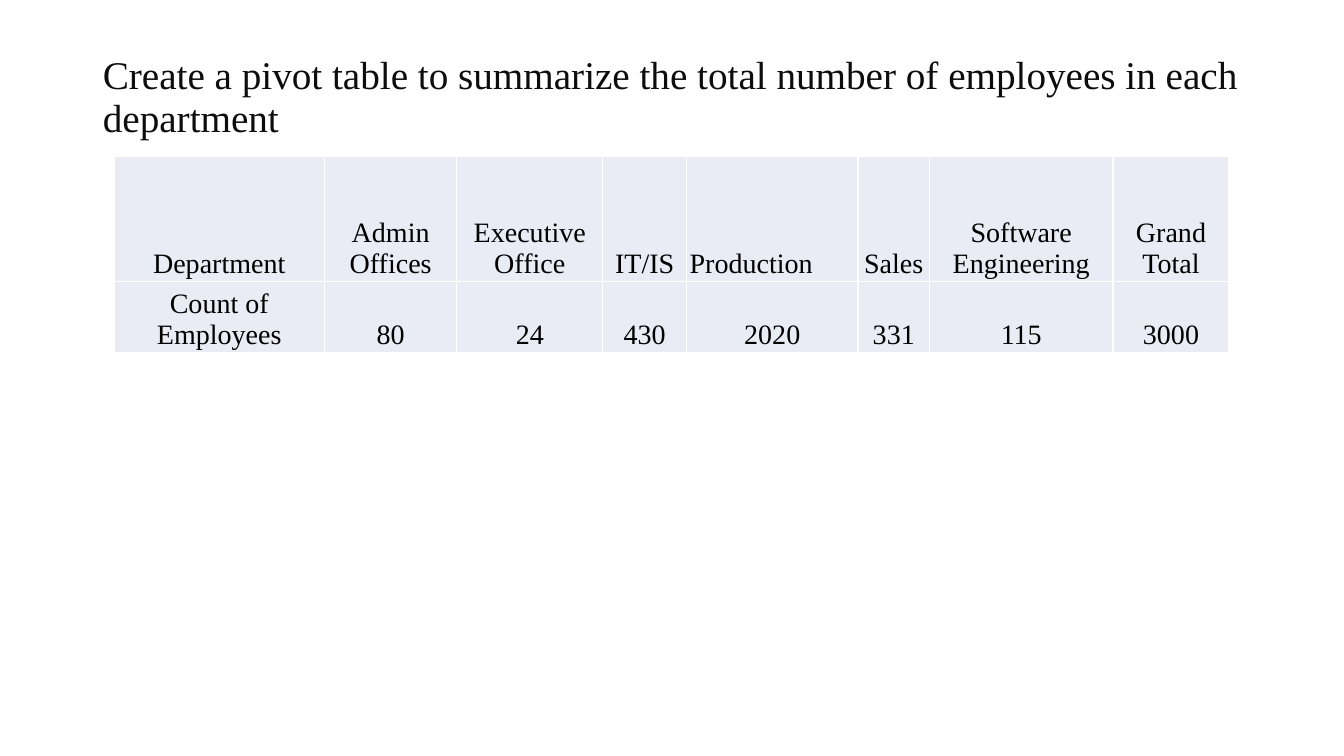
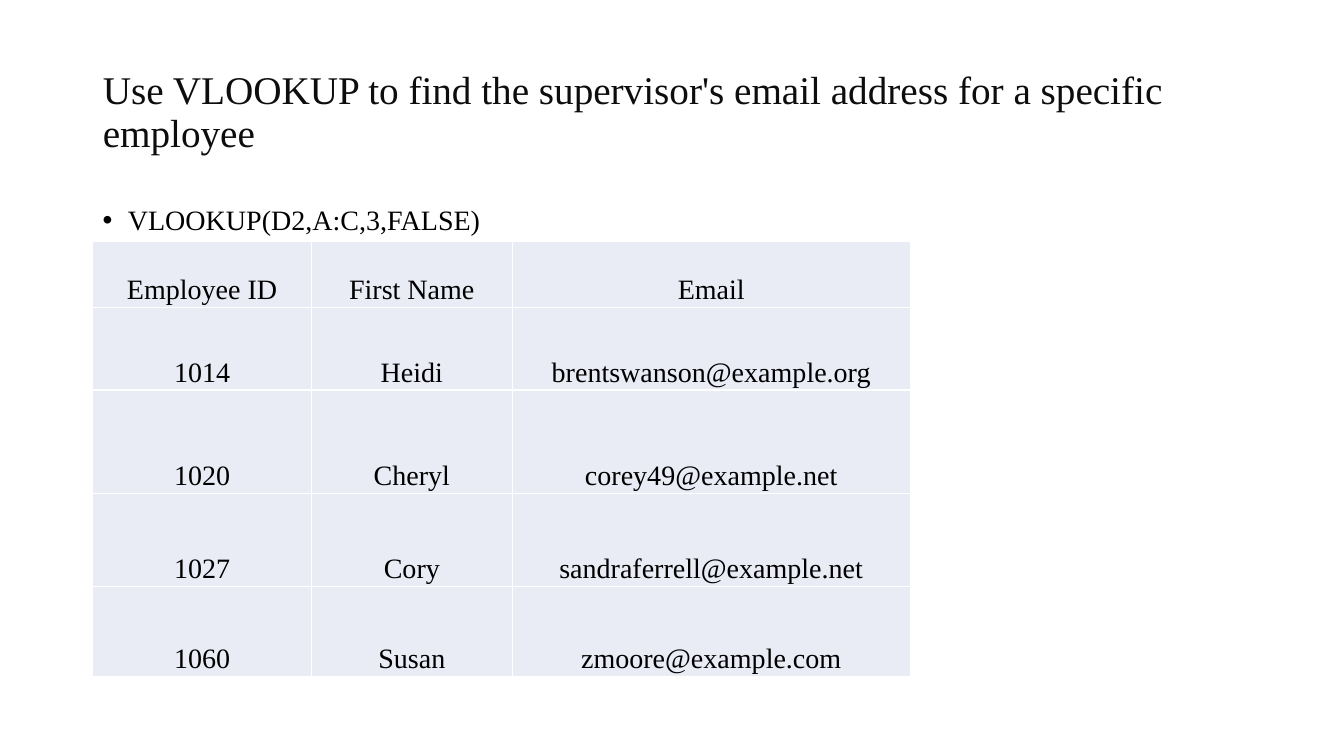
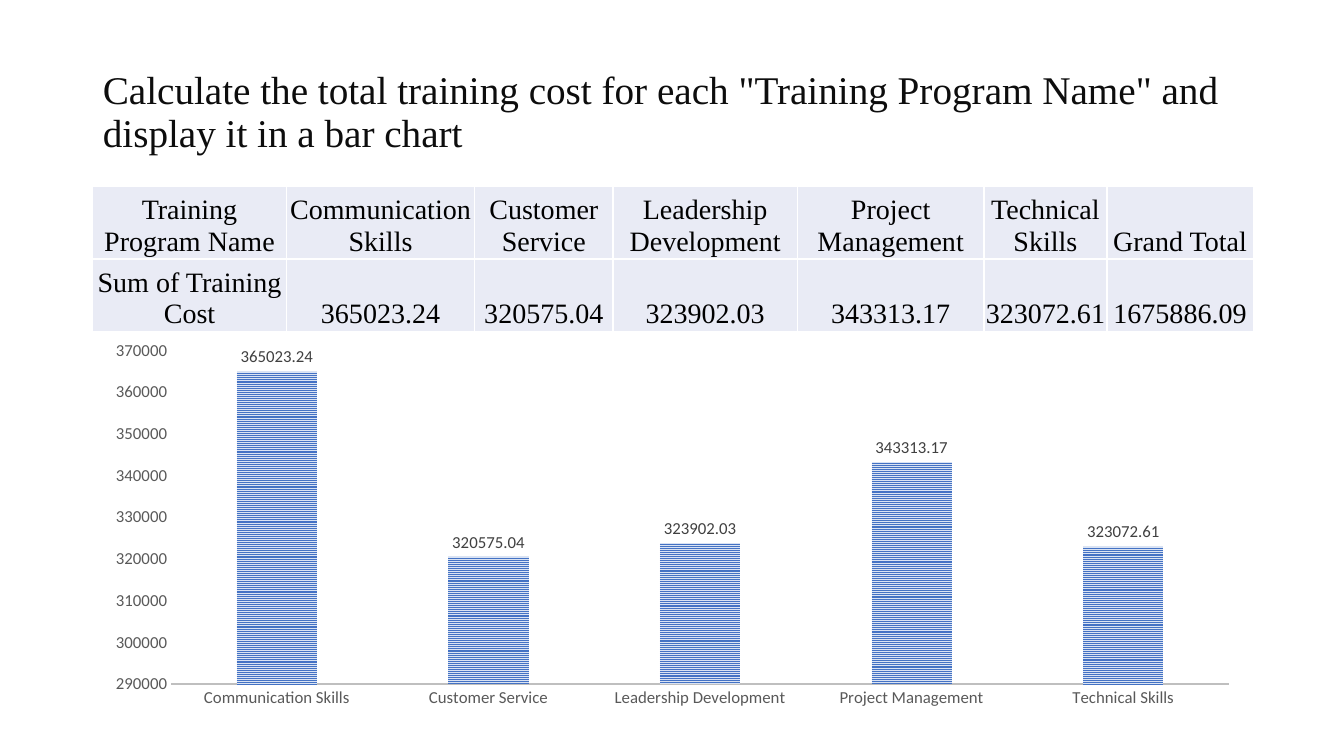
import dataclasses

import lxml.etree
import pptx
import pptx.chart.data
import pptx.dml.color
import pptx.enum.chart
import pptx.enum.dml
import pptx.enum.text
import pptx.oxml.ns
import pptx.util

Inches = pptx.util.Inches
Pt = pptx.util.Pt
ALIGN = pptx.enum.text.PP_ALIGN
ANCHOR = pptx.enum.text.MSO_ANCHOR
qn = pptx.oxml.ns.qn


@dataclasses.dataclass(frozen=True)
class Theme:
    """Colours, fonts, type sizes and margins that the slides share."""

    serif: str = "Times New Roman"
    sans: str = "Calibri"
    title_size: int = 28
    body_size: int = 20
    chart_size: int = 12
    title_ink: str = "0D0D0D"
    ink: str = "000000"
    cell_fill: str = "E9EBF5"
    cell_border: str = "FFFFFF"
    axis_ink: str = "595959"
    axis_line: str = "BFBFBF"
    label_ink: str = "404040"
    bar_stripe: str = "4472C4"
    bar_ground: str = "DAE3F3"
    left: float = 0.92
    top: float = 0.4
    width: float = 11.5


THEME = Theme()


def rgb(value):
    """Turn a hex string into a colour."""
    return pptx.dml.color.RGBColor.from_string(value)


def style_font(font, face, size, colour):
    """Set face, size and colour of a font."""
    font.name = face
    font.size = Pt(size)
    font.color.rgb = rgb(colour)


def add_titled_slide(deck, title, height=1.45):
    """Add a title-only slide and format its title."""
    slide = deck.slides.add_slide(deck.slide_layouts[5])
    heading = slide.shapes.title
    heading.left, heading.top = Inches(THEME.left), Inches(THEME.top)
    heading.width, heading.height = Inches(THEME.width), Inches(height)
    frame = heading.text_frame
    frame.text = title
    frame.word_wrap = True
    frame.auto_size = pptx.enum.text.MSO_AUTO_SIZE.NONE
    frame.vertical_anchor = ANCHOR.MIDDLE
    paragraph = frame.paragraphs[0]
    paragraph.alignment = ALIGN.LEFT
    paragraph.line_spacing = 0.9
    style_font(paragraph.font, THEME.serif, THEME.title_size, THEME.title_ink)
    return slide


def add_bullet(slide, box, text):
    """Place one bulleted line in a box."""
    frame = slide.shapes.add_textbox(*map(Inches, box)).text_frame
    frame.word_wrap = True
    frame.text = text
    paragraph = frame.paragraphs[0]
    properties = paragraph._p.get_or_add_pPr()
    properties.set("marL", str(Inches(0.25)))
    properties.set("indent", str(-Inches(0.25)))
    lxml.etree.SubElement(properties, qn("a:buFont"), typeface="Arial")
    lxml.etree.SubElement(properties, qn("a:buChar"), char="•")
    paragraph.line_spacing = 0.9
    style_font(paragraph.font, THEME.serif, THEME.body_size, THEME.ink)


def border_cell(cell):
    """Draw a thin line on all four sides of a cell."""
    properties = cell._tc.get_or_add_tcPr()
    for place, side in enumerate(("a:lnL", "a:lnR", "a:lnT", "a:lnB")):
        line = lxml.etree.Element(qn(side), w=str(Pt(1)))
        fill = lxml.etree.SubElement(line, qn("a:solidFill"))
        lxml.etree.SubElement(fill, qn("a:srgbClr"), val=THEME.cell_border)
        properties.insert(place, line)


def fill_cell(cell, text):
    """Write and format one table cell."""
    cell.text = text
    cell.vertical_anchor = ANCHOR.BOTTOM
    cell.margin_left = cell.margin_right = cell.margin_top = Inches(0.01)
    cell.margin_bottom = Inches(0.02)
    cell.fill.solid()
    cell.fill.fore_color.rgb = rgb(THEME.cell_fill)
    border_cell(cell)
    paragraph = cell.text_frame.paragraphs[0]
    paragraph.alignment = ALIGN.CENTER
    style_font(paragraph.font, THEME.serif, THEME.body_size, THEME.ink)


def add_grid(slide, left, top, widths, heights, rows):
    """Place a table with the given column widths and row heights."""
    box = map(Inches, (left, top, sum(widths), sum(heights)))
    table = slide.shapes.add_table(len(heights), len(widths), *box).table
    table.first_row = table.horz_banding = False
    for column, width in zip(table.columns, widths):
        column.width = Inches(width)
    for row, height, texts in zip(table.rows, heights, rows):
        row.height = Inches(height)
        for cell, text in zip(row.cells, texts):
            fill_cell(cell, text)
    return table


def style_axis(axis):
    """Remove ticks and gridlines and set the label type."""
    axis.has_major_gridlines = False
    axis.major_tick_mark = pptx.enum.chart.XL_TICK_MARK.NONE
    axis.minor_tick_mark = pptx.enum.chart.XL_TICK_MARK.NONE
    style_font(axis.tick_labels.font, THEME.sans, THEME.chart_size, THEME.axis_ink)


def add_cost_chart(slide, box, programs, costs):
    """Place the column chart of training costs in a box."""
    data = pptx.chart.data.CategoryChartData()
    data.categories = programs
    data.add_series("Series 1", costs)
    kind = pptx.enum.chart.XL_CHART_TYPE.COLUMN_CLUSTERED
    chart = slide.shapes.add_chart(kind, *map(Inches, box), data).chart
    chart.has_title = chart.has_legend = False
    style_font(chart.font, THEME.sans, 10, THEME.ink)

    style_axis(chart.category_axis)
    baseline = chart.category_axis.format.line
    baseline.color.rgb = rgb(THEME.axis_line)
    baseline.width = Pt(1.5)
    scale = chart.value_axis
    style_axis(scale)
    scale.format.line.fill.background()
    scale.minimum_scale, scale.maximum_scale = 290000, 370000
    scale.major_unit = 10000

    plot = chart.plots[0]
    plot.vary_by_categories = False
    plot.gap_width, plot.overlap = 164, -22
    bars = plot.series[0].format.fill
    bars.patterned()
    bars.pattern = pptx.enum.dml.MSO_PATTERN.NARROW_HORIZONTAL
    bars.fore_color.rgb = rgb(THEME.bar_stripe)
    bars.back_color.rgb = rgb(THEME.bar_ground)
    labels = plot.series[0].data_labels
    labels.show_value = True
    labels.position = pptx.enum.chart.XL_LABEL_POSITION.OUTSIDE_END
    style_font(labels.font, THEME.sans, THEME.chart_size, THEME.label_ink)


def build_headcount_slide(deck):
    """Show the number of employees in each department."""
    slide = add_titled_slide(
        deck,
        "Create a pivot table to summarize the total number of employees in each department",
        height=1.15,
    )
    rows = [
        ("Department", "Admin Offices", "Executive Office", "IT/IS", "Production",
         "Sales", "Software Engineering", "Grand Total"),
        ("Count of Employees", "80", "24", "430", "2020", "331", "115", "3000"),
    ]
    widths = (2.09, 1.31, 1.45, 0.83, 1.7, 0.71, 1.82, 1.15)
    table = add_grid(slide, 1.13, 1.55, widths, (1.24, 0.71), rows)
    production = table.cell(0, rows[0].index("Production"))
    production.margin_left = Inches(0.03)
    production.text_frame.paragraphs[0].alignment = ALIGN.LEFT


def build_lookup_slide(deck):
    """Show the lookup formula and the addresses it finds."""
    slide = add_titled_slide(
        deck, "Use VLOOKUP to find the supervisor's email address for a specific employee"
    )
    add_bullet(slide, (THEME.left, 2, THEME.width, 0.39), "VLOOKUP(D2,A:C,3,FALSE)")
    rows = [
        ("Employee ID", "First Name", "Email"),
        ("1014", "Heidi", "brentswanson@example.org"),
        ("1020", "Cheryl", "corey49@example.net"),
        ("1027", "Cory", "sandraferrell@example.net"),
        ("1060", "Susan", "zmoore@example.com"),
    ]
    heights = (0.66, 0.82, 1.03, 0.92, 0.89)
    add_grid(slide, THEME.left, 2.39, (2.17, 1.99, 3.95), heights, rows)


def build_cost_slide(deck):
    """Show the training cost of each program as table and chart."""
    slide = add_titled_slide(
        deck,
        'Calculate the total training cost for each "Training Program Name" '
        "and display it in a bar chart",
    )
    costs = {
        "Communication Skills": 365023.24,
        "Customer Service": 320575.04,
        "Leadership Development": 323902.03,
        "Project Management": 343313.17,
        "Technical Skills": 323072.61,
    }
    rows = [
        ("Training Program Name", *costs, "Grand Total"),
        ("Sum of Training Cost", *(f"{cost:.2f}" for cost in costs.values()),
         f"{sum(costs.values()):.2f}"),
    ]
    widths = (1.92, 1.87, 1.37, 1.83, 1.85, 1.22, 1.45)
    add_grid(slide, THEME.left, 1.85, widths, (0.72, 0.72), rows)
    add_cost_chart(slide, (THEME.left, 3.3, THEME.width, 3.8), costs.keys(), costs.values())


def main():
    """Build and save the deck."""
    deck = pptx.Presentation()
    deck.slide_width, deck.slide_height = Inches(13.33), Inches(7.5)
    build_headcount_slide(deck)
    build_lookup_slide(deck)
    build_cost_slide(deck)
    deck.save("out.pptx")


if __name__ == "__main__":
    main()
